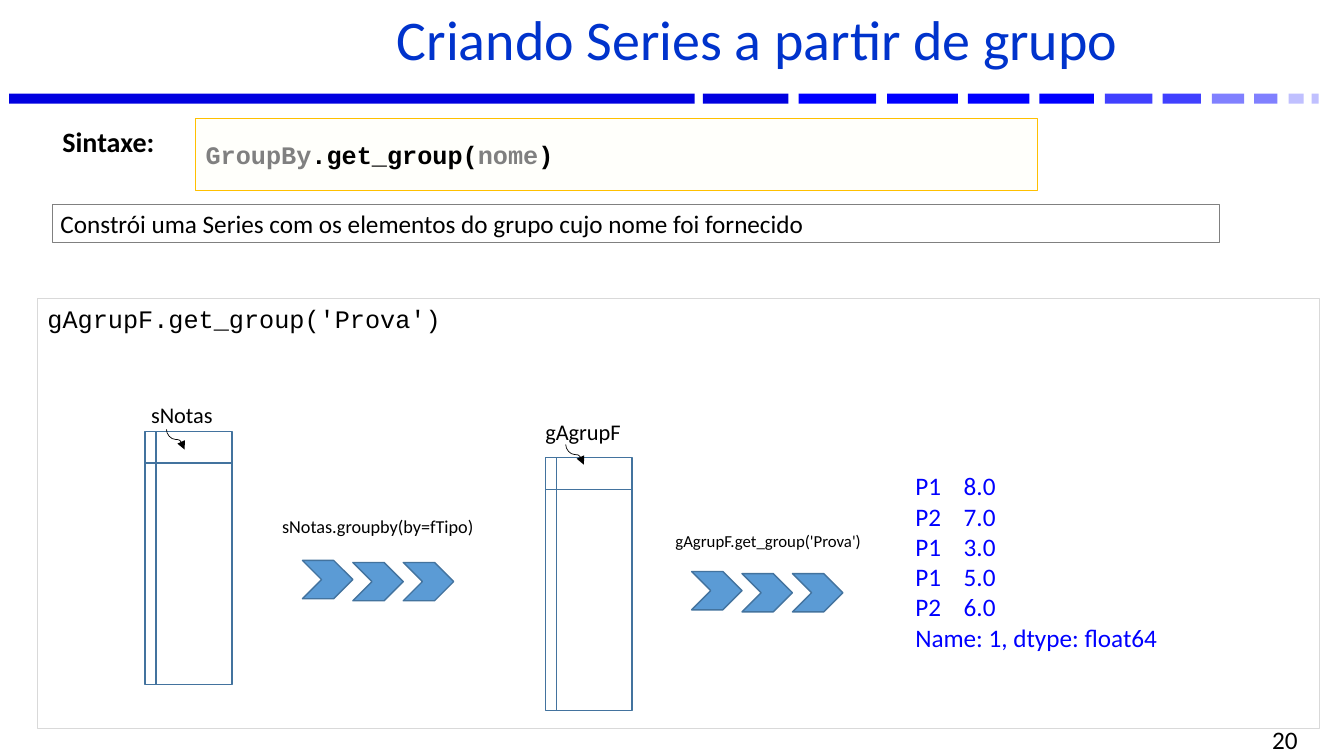
import pptx
import pptx.util
import pptx.dml.color
import pptx.enum.shapes
import pptx.enum.text
import pptx.oxml.ns
import lxml.etree

Inches = pptx.util.Inches
Pt = pptx.util.Pt
KIND = pptx.enum.shapes.MSO_SHAPE
ALIGN = pptx.enum.text.PP_ALIGN
ANCHOR = pptx.enum.text.MSO_ANCHOR
BLUE, EDGE, GRAY = "5B9BD5", "43739E", "808080"
BARS = [(0.09, 6.8, "0000E0"), (6.97, 0.85, "0000E0"), (7.92, 0.77, "0000FF"),
        (8.8, 0.7, "0000FF"), (9.6, 0.61, "0000FF"), (10.31, 0.54, "0000FF"),
        (10.96, 0.47, "4040FF"), (11.53, 0.38, "4040FF"), (12.02, 0.32, "8080FF"),
        (12.44, 0.23, "8080FF"), (12.78, 0.15, "C0C0FF"), (13.01, 0.07, "C0C0FF")]
GRADES = [("P1", "8.0"), ("P2", "7.0"), ("P1", "3.0"), ("P1", "5.0"), ("P2", "6.0")]


def color(code):
    return pptx.dml.color.RGBColor.from_string(code)


def element(parent, tag, **attrs):
    """Append a DrawingML child to parent."""
    node = lxml.etree.SubElement(parent, pptx.oxml.ns.qn("a:" + tag))
    for key, value in attrs.items():
        node.set(key, value)
    return node


def place(shape, left, top, width, height):
    shape.left, shape.top = Inches(left), Inches(top)
    shape.width, shape.height = Inches(width), Inches(height)


def outline(shape, code, width):
    shape.line.color.rgb = color(code)
    shape.line.width = Pt(width)


def write(shape, lines, size=18, font="Calibri", ink="000000", bold=False,
          align=ALIGN.LEFT, anchor=ANCHOR.TOP, inset=(0.1, 0.05), spacing=None,
          tab=None, hang=None):
    """Fill shape with lines, each a string or a list of (text, colour) runs."""
    frame = shape.text_frame
    frame.word_wrap = True
    frame.auto_size = pptx.enum.text.MSO_AUTO_SIZE.NONE
    frame.vertical_anchor = anchor
    frame.margin_left = frame.margin_right = Inches(inset[0])
    frame.margin_top = frame.margin_bottom = Inches(inset[1])
    for index, line in enumerate(lines):
        par = frame.add_paragraph() if index else frame.paragraphs[0]
        par.alignment = align
        par.space_before = Pt(0)
        if spacing:
            par.line_spacing = spacing
        props = par._p.get_or_add_pPr()
        if hang is not None:
            props.set("marL", str(Inches(hang)))
            props.set("indent", str(-Inches(hang)))
            element(props, "buNone")
        if tab:
            stops = element(props, "tabLst")
            element(stops, "tab", pos=str(Inches(tab)), algn="l")
        for words, tint in [(line, ink)] if isinstance(line, str) else line:
            run = par.add_run()
            run.text = words
            run.font.name, run.font.size, run.font.bold = font, Pt(size), bold
            run.font.color.rgb = color(tint)


def label(slide, box, lines, **style):
    left, top, width, height = map(Inches, box)
    write(slide.shapes.add_textbox(left, top, width, height), lines, **style)


def draw(slide, kind, box, fill=None, line=None, width=0.75):
    shape = slide.shapes.add_shape(kind, *map(Inches, box))
    shape.shadow.inherit = False
    if fill:
        shape.fill.solid()
        shape.fill.fore_color.rgb = color(fill)
    else:
        shape.fill.background()
    if line:
        outline(shape, line, width)
    else:
        shape.line.fill.background()
    return shape


def curve(slide, left, top):
    """Draw a small S-shaped arrow that runs down and right."""
    link = slide.shapes.add_connector(
        pptx.enum.shapes.MSO_CONNECTOR.CURVE, Inches(left), Inches(top),
        Inches(left + 0.2), Inches(top + 0.18))
    outline(link, "000000", 0.5)
    props = link._element.spPr
    frame = props.find(pptx.oxml.ns.qn("a:xfrm"))
    frame.set("rot", "16200000")
    frame.set("flipH", "1")
    element(props.find(pptx.oxml.ns.qn("a:ln")), "tailEnd", type="triangle")
    element(props, "effectLst")


def store(slide, left, top, name, box, arrow):
    """Draw a data block with its name and the arrow between them."""
    draw(slide, KIND.FLOWCHART_INTERNAL_STORAGE, (left, top, 0.86, 2.51),
         line=EDGE, width=1)
    label(slide, box, [name], size=16)
    curve(slide, *arrow)


def step(slide, left, top, call, box, size):
    """Draw three chevrons under the call that they stand for."""
    for index in range(3):
        drop = 0.02 if index else 0
        draw(slide, KIND.CHEVRON, (left + 0.5 * index, top + drop, 0.5, 0.38),
             BLUE, EDGE, 1)
    label(slide, box, [call], size=size)


def main():
    deck = pptx.Presentation()
    deck.slide_width, deck.slide_height = Inches(13.33), Inches(7.5)
    slide = deck.slides.add_slide(deck.slide_layouts[1])

    for left, width, fill in BARS:
        draw(slide, KIND.RECTANGLE, (left, 0.93, width, 0.1), fill)

    title, body = slide.placeholders
    place(title, 1.94, 0.06, 11.14, 0.77)
    write(title, ["Criando Series a partir de grupo"], size=40, ink="0033CC",
          align=ALIGN.CENTER, anchor=ANCHOR.MIDDLE, spacing=0.8)
    place(body, 0.37, 2.96, 12.72, 4.27)
    outline(body, "D9D9D9", 0.75)
    write(body, ["gAgrupF.get_group('Prova')"], font="Courier New", hang=0.5)
    label(slide, (9.86, 7.23, 3.11, 0.22), ["20"], align=ALIGN.RIGHT,
          anchor=ANCHOR.MIDDLE)

    label(slide, (0.52, 1.19, 1.42, 0.44), ["Sintaxe:"], size=20, bold=True)
    syntax = draw(slide, KIND.RECTANGLE, (1.94, 1.18, 8.35, 0.71), "FFFFFB", "FFC000")
    write(syntax, [[("GroupBy", GRAY), (".get_group(", "000000"),
                    ("nome", GRAY), (")", "000000")]],
          font="Courier New", bold=True, anchor=ANCHOR.MIDDLE, inset=(0.1, 0))
    about = draw(slide, KIND.RECTANGLE, (0.52, 2.03, 11.58, 0.38), line=GRAY)
    write(about, ["Constrói uma Series com os elementos do grupo cujo nome foi fornecido"],
          inset=(0.08, 0.04))

    store(slide, 1.44, 4.28, "sNotas", (1.4, 3.93, 0.87, 0.37), (1.64, 4.27))
    step(slide, 3, 5.56, "sNotas.groupby(by=fTipo)", (2.7, 5.06, 2.35, 0.32), 13)
    store(slide, 5.41, 4.54, "gAgrupF", (5.31, 4.1, 1.19, 0.37), (5.6, 4.42))
    step(slide, 6.86, 5.67, "gAgrupF.get_group('Prova')", (6.6, 5.22, 2.35, 0.3), 12)
    rows = ["\t".join(pair) for pair in GRADES]
    label(slide, (8.98, 4.62, 2.96, 1.92), rows + ["Name: 1, dtype: float64"],
          ink="0000FF", tab=0.48)
    deck.save("out.pptx")


if __name__ == "__main__":
    main()
